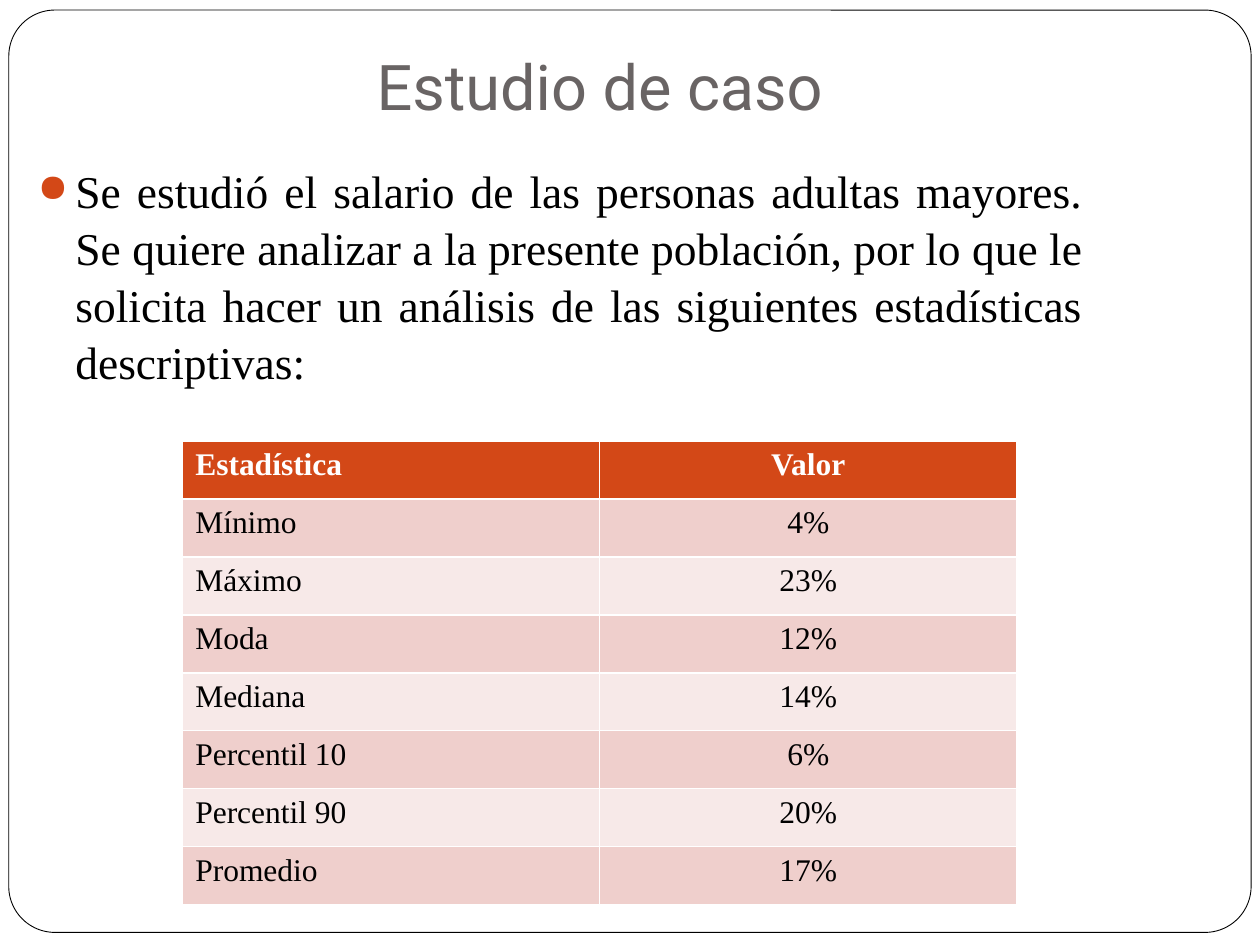
import pptx
import pptx.util
import pptx.dml.color
import pptx.enum.shapes
import pptx.enum.text
import pptx.oxml
import pptx.oxml.ns

Inches, Pt = pptx.util.Inches, pptx.util.Pt
RGBColor = pptx.dml.color.RGBColor
ALIGN = pptx.enum.text.PP_ALIGN
ANCHOR = pptx.enum.text.MSO_ANCHOR

TITLE = "Estudio de caso"
INTRO = (
    "Se estudió el salario de las personas adultas mayores. Se quiere analizar "
    "a la presente población, por lo que le solicita hacer un análisis de las "
    "siguientes estadísticas descriptivas:"
)
STATISTICS = [
    ("Estadística", "Valor"),
    ("Mínimo", "4%"),
    ("Máximo", "23%"),
    ("Moda", "12%"),
    ("Mediana", "14%"),
    ("Percentil 10", "6%"),
    ("Percentil 90", "20%"),
    ("Promedio", "17%"),
]

WHITE = RGBColor(0xFF, 0xFF, 0xFF)
BLACK = RGBColor(0, 0, 0)
GRAY = RGBColor(0x69, 0x64, 0x64)
ORANGE = RGBColor(0xD3, 0x48, 0x17)
BANDS = (RGBColor(0xF7, 0xE9, 0xE8), RGBColor(0xEF, 0xCF, 0xCC))

TITLE_FONT, BODY_FONT = "Roboto", "Times New Roman"
TEXT_WIDTH = 8.5
COLUMN_ALIGN = (ALIGN.LEFT, ALIGN.CENTER)
COLUMN_WIDTH, ROW_HEIGHT = 3.31, 0.46


def box(left, top, width, height):
    return Inches(left), Inches(top), Inches(width), Inches(height)


def add_text(paragraph, text, font, size, color, align, bold=False):
    paragraph.alignment = align
    run = paragraph.add_run()
    run.text = text
    run.font.name = font
    run.font.size = Pt(size)
    run.font.bold = bold
    run.font.color.rgb = color


def add_bullet(paragraph, indent):
    """Hang a round orange bullet at 85 % of the text size."""
    properties = paragraph._p.get_or_add_pPr()
    properties.set("marL", str(Inches(indent)))
    properties.set("indent", str(-Inches(indent)))
    namespace = pptx.oxml.ns.nsdecls("a")
    for markup in (
        f'<a:buClr {namespace}><a:srgbClr val="{ORANGE}"/></a:buClr>',
        f'<a:buSzPct {namespace} val="85000"/>',
        f'<a:buChar {namespace} char="●"/>',
    ):
        properties.append(pptx.oxml.parse_xml(markup))


def add_frame(slide):
    frame = slide.shapes.add_shape(
        pptx.enum.shapes.MSO_SHAPE.ROUNDED_RECTANGLE, *box(0.07, 0.08, 9.86, 7.32))
    frame.adjustments[0] = 0.05
    frame.shadow.inherit = False
    frame.fill.solid()
    frame.fill.fore_color.rgb = WHITE
    frame.line.color.rgb = BLACK
    frame.line.width = Pt(0.5)
    slide.shapes._spTree.insert(2, frame._element)  # behind the title


def add_title(slide):
    title = slide.shapes.title
    title.left, title.top, title.width, title.height = box(0.51, 0.29, TEXT_WIDTH, 0.79)
    title.text_frame.vertical_anchor = ANCHOR.BOTTOM
    title.text_frame.margin_bottom = Inches(0.1)
    add_text(title.text_frame.paragraphs[0], TITLE, TITLE_FONT, 36, GRAY, ALIGN.CENTER)


def add_intro(slide):
    intro = slide.shapes.add_textbox(*box(0.2, 1.23, TEXT_WIDTH, 2.1)).text_frame
    intro.word_wrap = True
    paragraph = intro.paragraphs[0]
    paragraph.space_before = Pt(5.8)
    paragraph.line_spacing = 1.04
    add_bullet(paragraph, 0.3)
    add_text(paragraph, INTRO, BODY_FONT, 26, BLACK, ALIGN.JUSTIFY)


def add_statistics(slide):
    rows, columns = len(STATISTICS), len(COLUMN_ALIGN)
    table = slide.shapes.add_table(
        rows, columns,
        *box(1.45, 3.5, columns * COLUMN_WIDTH, rows * ROW_HEIGHT)).table
    for column in table.columns:
        column.width = Inches(COLUMN_WIDTH)
    for r, values in enumerate(STATISTICS):
        header = r == 0
        table.rows[r].height = Inches(ROW_HEIGHT)
        for c, (value, align) in enumerate(zip(values, COLUMN_ALIGN)):
            cell = table.cell(r, c)
            cell.fill.solid()
            cell.fill.fore_color.rgb = ORANGE if header else BANDS[r % 2]
            add_text(cell.text_frame.paragraphs[0], value, BODY_FONT, 18,
                     WHITE if header else BLACK, align, bold=header)


def main():
    presentation = pptx.Presentation()
    presentation.slide_width, presentation.slide_height = Inches(10), Inches(7.5)
    slide = presentation.slides.add_slide(presentation.slide_layouts[5])
    add_frame(slide)
    add_title(slide)
    add_intro(slide)
    add_statistics(slide)
    presentation.save("out.pptx")


if __name__ == "__main__":
    main()
